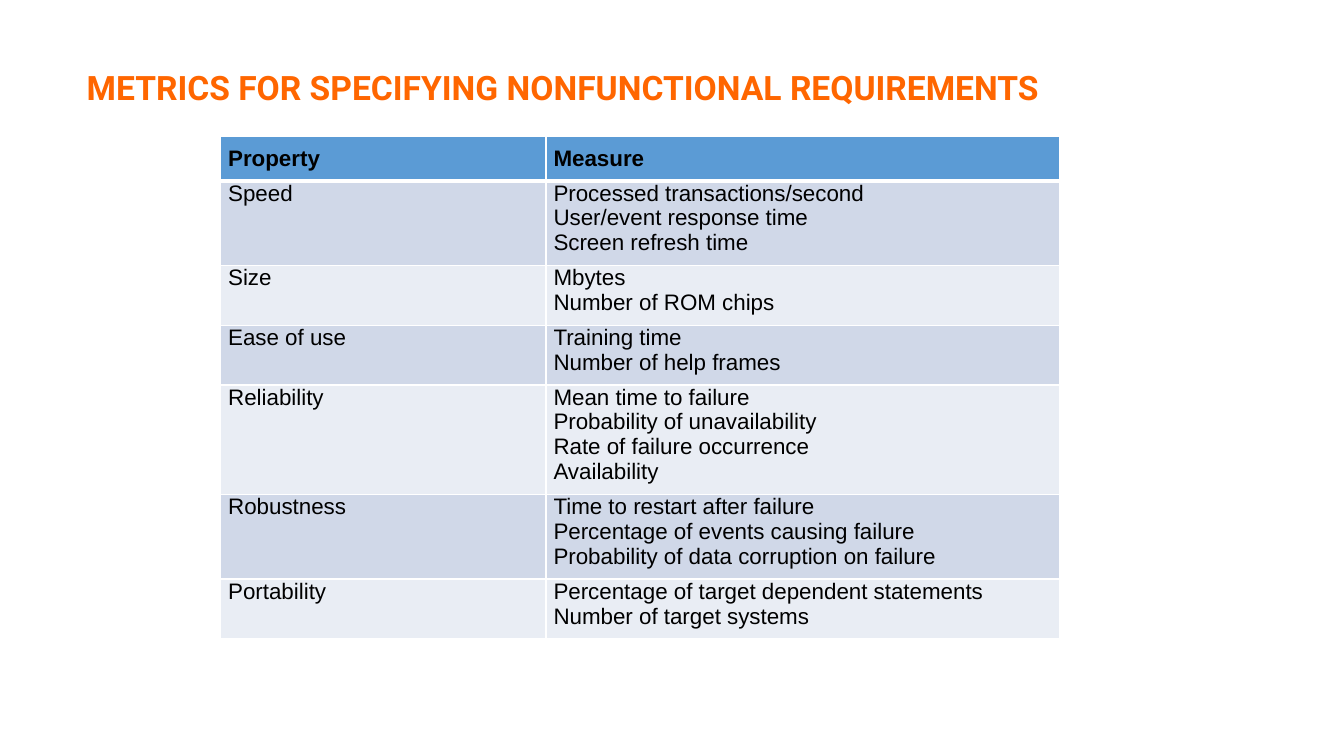
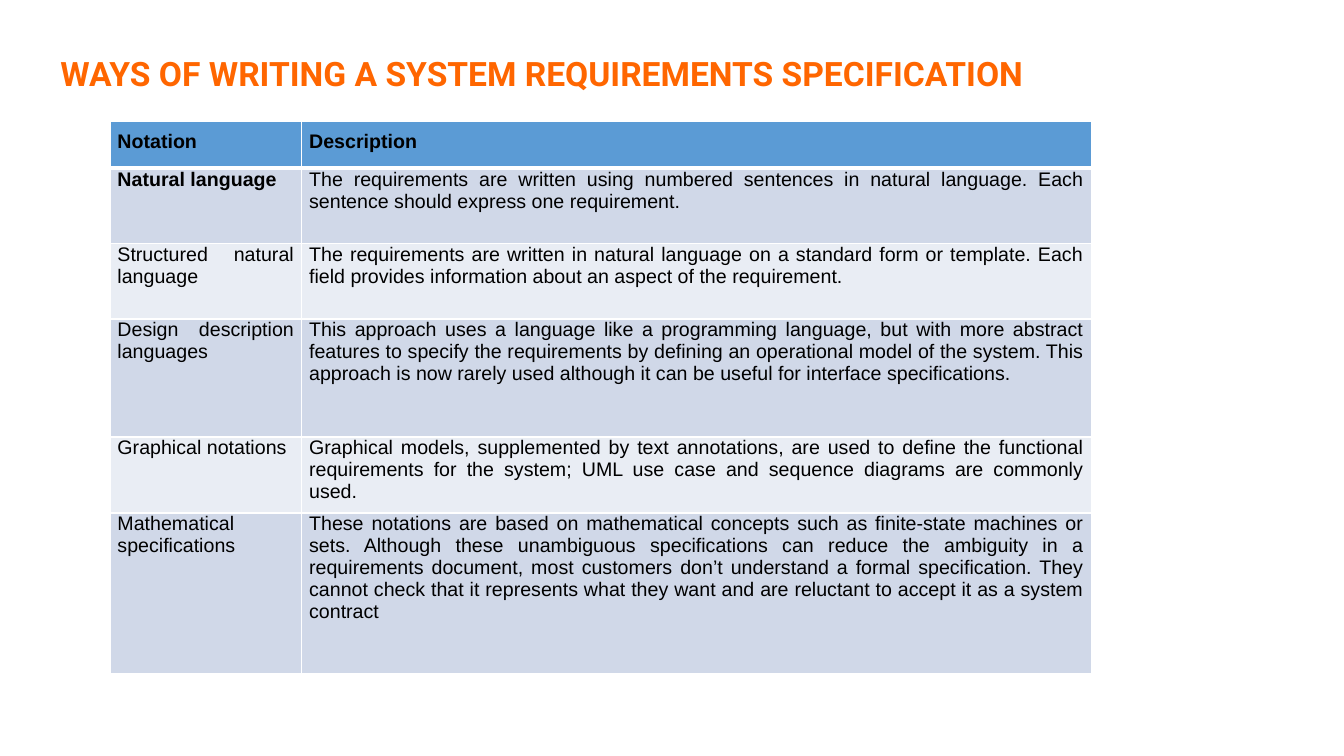
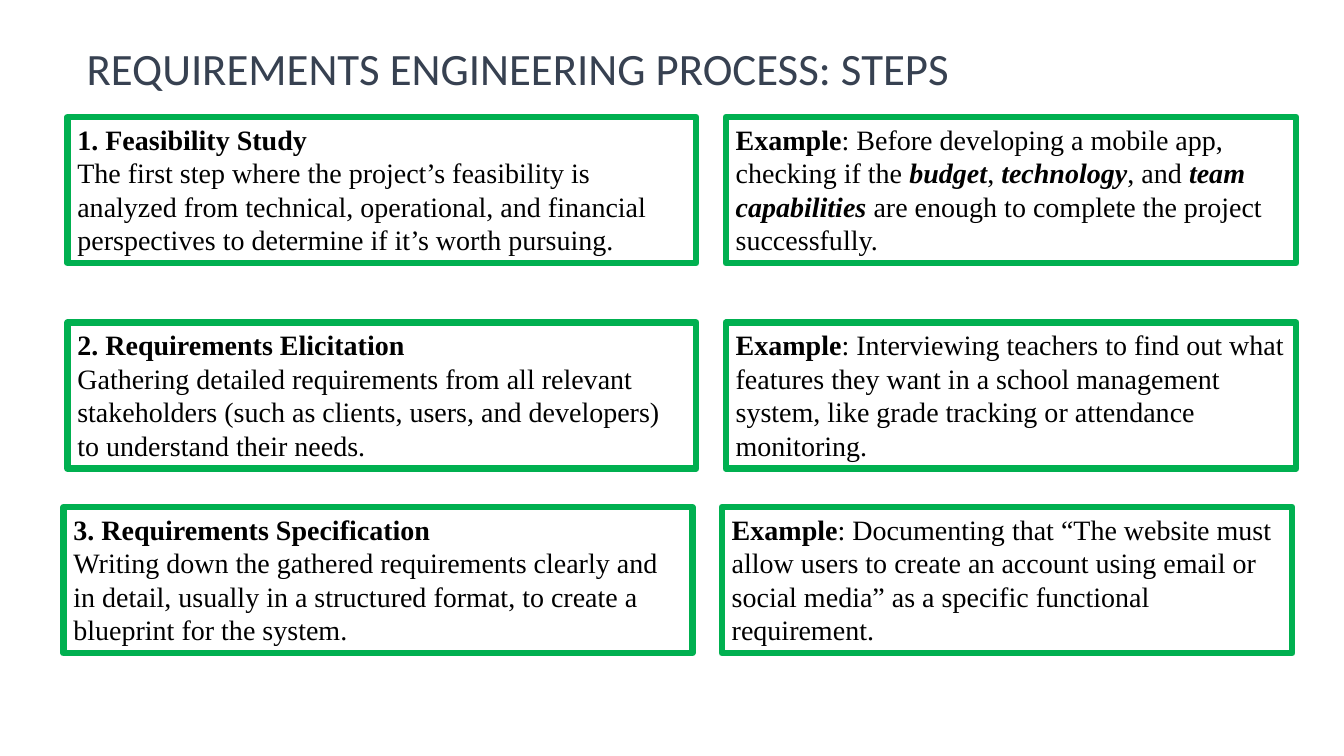
import pptx
import pptx.dml.color
import pptx.enum.shapes
import pptx.enum.text
import pptx.oxml
import pptx.oxml.ns
import pptx.util

Cm = pptx.util.Cm
Pt = pptx.util.Pt
RGBColor = pptx.dml.color.RGBColor
ALIGN = pptx.enum.text.PP_ALIGN
ANCHOR = pptx.enum.text.MSO_ANCHOR

BLACK = RGBColor(0x00, 0x00, 0x00)
WHITE = RGBColor(0xFF, 0xFF, 0xFF)
ORANGE = RGBColor(0xFF, 0x66, 0x00)
SLATE = RGBColor(0x37, 0x41, 0x51)
GREEN = RGBColor(0x00, 0xB0, 0x50)
HEADER_BLUE = RGBColor(0x5B, 0x9B, 0xD5)
BAND_DARK = RGBColor(0xD0, 0xD8, 0xE8)
BAND_LIGHT = RGBColor(0xE9, 0xED, 0xF4)

ORANGE_TITLE = {"name": "Roboto", "size": Pt(24), "bold": True, "color": ORANGE}
SLATE_TITLE = {"name": "Calibri", "size": Pt(32), "bold": False, "color": SLATE}
STEP_TEXT = {"name": "Times New Roman", "size": Pt(20), "color": BLACK}
PLAIN = {"bold": False}
BOLD = {"bold": True}
EMPHASIS = {"bold": True, "italic": True}

METRICS = [
    ("Property", "Measure"),
    ("Speed", "Processed transactions/second\nUser/event response time\nScreen refresh time"),
    ("Size", "Mbytes\nNumber of ROM chips"),
    ("Ease of use", "Training time\nNumber of help frames"),
    ("Reliability", "Mean time to failure\nProbability of unavailability\n"
                    "Rate of failure occurrence\nAvailability"),
    ("Robustness", "Time to restart after failure\nPercentage of events causing failure\n"
                   "Probability of data corruption on failure"),
    ("Portability", "Percentage of target dependent statements\nNumber of target systems"),
]

NOTATIONS = [
    ("Notation", "Description"),
    ("Natural language",
     "The requirements are written using numbered sentences in natural language. "
     "Each sentence should express one requirement."),
    ("Structured natural language",
     "The requirements are written in natural language on a standard form or template. "
     "Each field provides information about an aspect of the requirement."),
    ("Design description languages",
     "This approach uses a language like a programming language, but with more abstract "
     "features to specify the requirements by defining an operational model of the system. "
     "This approach is now rarely used although it can be useful for interface "
     "specifications."),
    ("Graphical notations",
     "Graphical models, supplemented by text annotations, are used to define the functional "
     "requirements for the system; UML use case and sequence diagrams are commonly used."),
    ("Mathematical specifications",
     "These notations are based on mathematical concepts such as finite-state machines or "
     "sets. Although these unambiguous specifications can reduce the ambiguity in a "
     "requirements document, most customers don’t understand a formal specification. They "
     "cannot check that it represents what they want and are reluctant to accept it as a "
     "system contract"),
]

# Left edge, top edge, step name, step description, runs that follow "Example"
STEPS = [
    (1.7, 2.95, "1. Feasibility Study",
     "The first step where the project’s feasibility is analyzed from technical, "
     "operational, and financial perspectives to determine if it’s worth pursuing.",
     [(": Before developing a mobile app, checking if the ", PLAIN), ("budget", EMPHASIS),
      (", ", PLAIN), ("technology", EMPHASIS), (", and ", PLAIN),
      ("team capabilities ", EMPHASIS),
      ("are enough to complete the project successfully.", PLAIN)]),
    (1.7, 8.13, "2. Requirements Elicitation",
     "Gathering detailed requirements from all relevant stakeholders (such as clients, "
     "users, and developers) to understand their needs.",
     [(": Interviewing teachers to find out what features they want in a school management "
       "system, like grade tracking or attendance monitoring.", PLAIN)]),
    (1.6, 12.78, "3. Requirements Specification",
     "Writing down the gathered requirements clearly and in detail, usually in a structured "
     "format, to create a blueprint for the system.",
     [(": Documenting that “The website must allow users to create an account using email or "
       "social media” as a specific functional requirement.", PLAIN)]),
]
STEP_WIDTH, EXAMPLE_WIDTH, STEP_HEIGHT = 15.85, 14.38, 3.68
EXAMPLE_OFFSET = 16.59


class Deck:
    """Holds the presentation, its shared style and the slide being built."""

    def __init__(self):
        self.presentation = pptx.Presentation()
        self.presentation.slide_width = Cm(33.87)
        self.presentation.slide_height = Cm(19.05)
        self.slide = None

    @staticmethod
    def format_font(font, values):
        for attribute, value in values.items():
            if attribute == "color":
                font.color.rgb = value
            else:
                setattr(font, attribute, value)

    @staticmethod
    def add_border(cell, sides):
        """Draw white cell edges; sides gives (tag, width in points) in schema order."""
        properties = cell._tc.get_or_add_tcPr()
        for position, (tag, width) in enumerate(sides):
            properties.insert(position, pptx.oxml.parse_xml(
                f'<a:{tag} {pptx.oxml.ns.nsdecls("a")} w="{Pt(width)}">'
                f'<a:solidFill><a:srgbClr val="{WHITE}"/></a:solidFill></a:{tag}>'))

    def start_slide(self, title, left, top, width, height, style):
        self.slide = self.presentation.slides.add_slide(self.presentation.slide_layouts[5])
        heading = self.slide.shapes.title
        heading.left, heading.top = Cm(left), Cm(top)
        heading.width, heading.height = Cm(width), Cm(height)
        frame = heading.text_frame
        frame.text = title
        frame.vertical_anchor = ANCHOR.MIDDLE
        paragraph = frame.paragraphs[0]
        paragraph.alignment = ALIGN.LEFT
        paragraph.line_spacing = 0.9
        self.format_font(paragraph.runs[0].font, style)

    def add_table(self, rows, left, top, widths, heights, size, bold_cells=()):
        """Add a banded table; bold_cells lists (row, column) pairs besides the header."""
        table = self.slide.shapes.add_table(
            len(rows), len(widths), Cm(left), Cm(top),
            Cm(sum(widths)), Cm(sum(heights))).table
        for column, width in zip(table.columns, widths):
            column.width = Cm(width)
        for row, height in zip(table.rows, heights):
            row.height = Cm(height)
        for r, texts in enumerate(rows):
            for c, text in enumerate(texts):
                bold = r == 0 or (r, c) in bold_cells
                self.fill_cell(table.cell(r, c), text, r, size, bold)

    def fill_cell(self, cell, text, row, size, bold):
        header = row == 0
        margins = {"margin_left": Cm(0.19), "margin_right": Cm(0.19),
                   "margin_top": Cm(0.25 if header else 0), "margin_bottom": Cm(0.25)}
        for attribute, value in margins.items():
            setattr(cell, attribute, value)
        cell.fill.solid()
        cell.fill.fore_color.rgb = (
            HEADER_BLUE if header else BAND_DARK if row % 2 else BAND_LIGHT)
        self.add_border(cell, [("lnL", 1), ("lnR", 1),
                               ("lnT", 3 if row == 1 else 1), ("lnB", 3 if header else 1)])
        cell.text_frame.text = text
        for paragraph in cell.text_frame.paragraphs:
            paragraph.alignment = ALIGN.JUSTIFY
            self.format_font(paragraph.runs[0].font, {
                "name": "Arial", "size": Pt(size), "bold": bold, "color": BLACK})

    def add_step_box(self, left, top, width, runs):
        """Add a green outlined box; a run ending in a newline is followed by a break."""
        box = self.slide.shapes.add_shape(
            pptx.enum.shapes.MSO_SHAPE.RECTANGLE,
            Cm(left), Cm(top), Cm(width), Cm(STEP_HEIGHT))
        box.shadow.inherit = False
        box.fill.background()
        box.line.color.rgb = GREEN
        box.line.width = Pt(4.5)
        frame = box.text_frame
        frame.word_wrap = True
        frame.vertical_anchor = ANCHOR.TOP
        frame.auto_size = pptx.enum.text.MSO_AUTO_SIZE.SHAPE_TO_FIT_TEXT
        paragraph = frame.paragraphs[0]
        paragraph.alignment = ALIGN.LEFT
        for text, emphasis in runs:
            run = paragraph.add_run()
            run.text = text.rstrip("\n")
            self.format_font(run.font, {**STEP_TEXT, **emphasis})
            if text.endswith("\n"):
                paragraph.add_line_break()


def main():
    deck = Deck()

    deck.start_slide("METRICS FOR SPECIFYING NONFUNCTIONAL REQUIREMENTS",
                     1.93, 1.09, 27.08, 2.34, ORANGE_TITLE)
    deck.add_table(METRICS, 5.56, 3.43, [8.2, 12.95],
                   [1.09, 1.9, 1.35, 1.35, 2.44, 1.9, 1.35], 16)

    deck.start_slide("WAYS OF WRITING A SYSTEM REQUIREMENTS SPECIFICATION",
                     1.27, 0.76, 25.04, 2.29, ORANGE_TITLE)
    deck.add_table(NOTATIONS, 2.77, 3.05, [4.83, 19.91],
                   [1.19, 1.9, 1.9, 2.97, 1.9, 4.04], 14, bold_cells=[(1, 0)])

    deck.start_slide("REQUIREMENTS ENGINEERING PROCESS: STEPS",
                     1.93, 0.61, 30.25, 2.34, SLATE_TITLE)
    for left, top, step, description, example in STEPS:
        deck.add_step_box(left, top, STEP_WIDTH,
                          [(step + "\n", BOLD), (description, PLAIN)])
        deck.add_step_box(left + EXAMPLE_OFFSET, top, EXAMPLE_WIDTH,
                          [("Example", BOLD), *example])

    deck.presentation.save("out.pptx")


if __name__ == "__main__":
    main()
